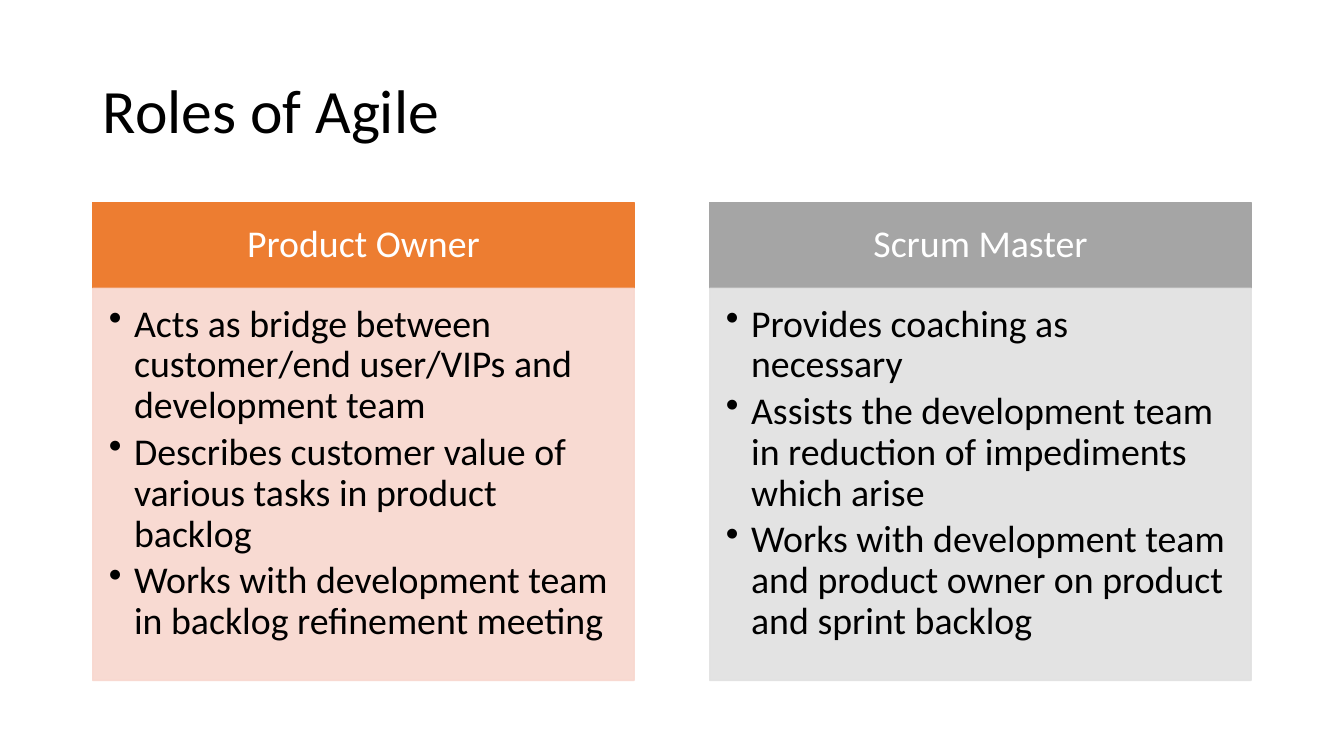
from dataclasses import dataclass

from lxml import etree
from pptx import Presentation
from pptx.dml import color as c
from pptx.enum import shapes, text
from pptx.oxml import ns
from pptx.util import Inches, Pt


@dataclass(frozen=True)
class Theme:
    font: str = "Calibri"
    title_size: float = 44
    body_size: float = 27
    dark: str = "000000"
    light: str = "FFFFFF"
    orange: str = "ED7D31"
    orange_tint: str = "F8D7CE"
    gray: str = "A5A5A5"
    gray_tint: str = "E1E1E1"
    tint_opacity: int = 90


@dataclass(frozen=True)
class Role:
    name: str
    duties: tuple[str, ...]
    fill: str
    tint: str


THEME = Theme()
LEFT, COLUMN_STEP, COLUMN_WIDTH = 0.92, 6.12, 5.37
HEADER_TOP, HEADER_HEIGHT, BODY_HEIGHT = 2.01, 0.85, 3.89

ROLES = (
    Role("Product Owner", (
        "Acts as bridge between customer/end user/VIPs and development team",
        "Describes customer value of various tasks in product backlog",
        "Works with development team in backlog refinement meeting",
    ), THEME.orange, THEME.orange_tint),
    Role("Scrum Master", (
        "Provides coaching as necessary\u00a0",
        "Assists the development team in reduction of impediments which arise",
        "Works with development team and product owner on product and sprint backlog",
    ), THEME.gray, THEME.gray_tint),
)


def add_text(p, words: str, size: float, color: str, after: float = 0) -> None:
    """Add one formatted run to a paragraph."""
    p.line_spacing = 0.9
    p.space_before, p.space_after = Pt(0), Pt(after)
    r = p.add_run()
    r.text = words
    r.font.name, r.font.size = THEME.font, Pt(size)
    r.font.color.rgb = c.RGBColor.from_string(color)


def add_bullet(p) -> None:
    """Give a paragraph a hanging bullet."""
    pPr = p._p.get_or_add_pPr()
    pPr.set("marL", str(Inches(0.25)))
    pPr.set("indent", str(-Inches(0.25)))
    etree.SubElement(pPr, ns.qn("a:buChar")).set("char", "•")


def add_panel(slide, left: float, top: float, height: float, color: str,
              insets: tuple[float, ...], opacity: int = 100):
    """Draw one filled rectangle, ready for text."""
    sp = slide.shapes.add_shape(shapes.MSO_SHAPE.RECTANGLE, Inches(left),
                                Inches(top), Inches(COLUMN_WIDTH), Inches(height))
    sp.shadow.inherit = False
    sp.fill.solid()
    sp.line.width = Pt(1)
    for paint in (sp.fill.fore_color, sp.line.color):
        paint.rgb = c.RGBColor.from_string(color)
    if opacity < 100:
        for clr in sp._element.spPr.iter(ns.qn("a:srgbClr")):
            etree.SubElement(clr, ns.qn("a:alpha")).set("val", str(opacity * 1000))
    tf = sp.text_frame
    tf.word_wrap = True
    tf.margin_left, tf.margin_top, tf.margin_right, tf.margin_bottom = map(Inches, insets)
    return tf


def add_role(slide, role: Role, left: float) -> None:
    """Draw a role's header with its list of duties below."""
    tf = add_panel(slide, left, HEADER_TOP, HEADER_HEIGHT, role.fill,
                   (0.21, 0.12, 0.21, 0.12))
    tf.vertical_anchor = text.MSO_ANCHOR.MIDDLE
    p = tf.paragraphs[0]
    p.alignment = text.PP_ALIGN.CENTER
    add_text(p, role.name, THEME.body_size, THEME.light)

    tf = add_panel(slide, left, HEADER_TOP + HEADER_HEIGHT, BODY_HEIGHT, role.tint,
                   (0.16, 0.16, 0.21, 0.24), THEME.tint_opacity)
    tf.vertical_anchor = text.MSO_ANCHOR.TOP
    for i, duty in enumerate(role.duties):
        p = tf.add_paragraph() if i else tf.paragraphs[0]
        p.alignment = text.PP_ALIGN.LEFT
        add_text(p, duty, THEME.body_size, THEME.dark, THEME.body_size * 0.15)
        add_bullet(p)


prs = Presentation()
prs.slide_width, prs.slide_height = Inches(13.33), Inches(7.5)
s = prs.slides.add_slide(prs.slide_layouts[5])

# Title
title = s.shapes.title
title.left, title.top = Inches(LEFT), Inches(0.4)
title.width, title.height = Inches(11.5), Inches(1.45)
tf = title.text_frame
tf.word_wrap = True
tf.auto_size = text.MSO_AUTO_SIZE.NONE
tf.vertical_anchor = text.MSO_ANCHOR.MIDDLE
p = tf.paragraphs[0]
p.alignment = text.PP_ALIGN.LEFT
add_text(p, "Roles of Agile", THEME.title_size, THEME.dark)

# Role columns
for column, role in enumerate(ROLES):
    add_role(s, role, LEFT + column * COLUMN_STEP)

prs.save("out.pptx")
